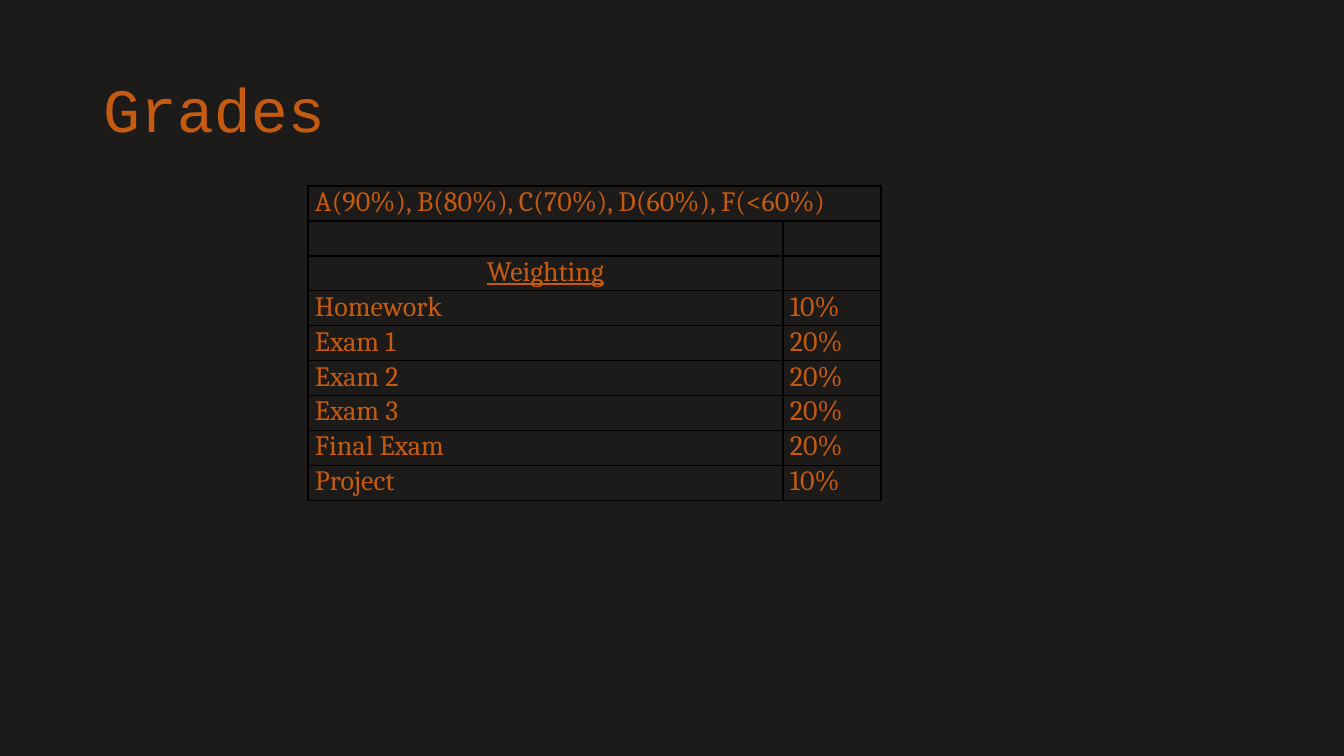
from lxml.etree import SubElement
from pptx import Presentation
from pptx.dml.color import RGBColor
from pptx.enum.text import MSO_ANCHOR, PP_ALIGN
from pptx.oxml.ns import qn
from pptx.util import Pt

EMU_PER_PX = 914400 / 100.8
BACKGROUND = "1C1B1A"
ORANGE = "C55A11"
BORDER = "000000"
ROW_HEIGHT = 35
GRADES = [
    ("A(90%), B(80%), C(70%), D(60%), F(<60%)", ""),
    ("", ""),
    ("Weighting", ""),
    ("Homework", "10%"),
    ("Exam 1", "20%"),
    ("Exam 2", "20%"),
    ("Exam 3", "20%"),
    ("Final Exam", "20%"),
    ("Project", "10%"),
]


def px(length):
    return round(length * EMU_PER_PX)


def color(hex_code):
    return RGBColor.from_string(hex_code)


def write(frame, text, font, size, align=None, underline=None, spacing=None):
    paragraph = frame.paragraphs[0]
    paragraph.alignment = align
    paragraph.line_spacing = spacing
    run = paragraph.add_run()
    run.text = text
    run.font.name = font
    run.font.size = Pt(size)
    run.font.underline = underline
    run.font.color.rgb = color(ORANGE)


def add_borders(cell):
    properties = cell._tc.get_or_add_tcPr()
    for position, side in enumerate(("a:lnL", "a:lnR", "a:lnT", "a:lnB")):
        line = SubElement(properties, qn(side), w=str(Pt(1)))
        fill = SubElement(line, qn("a:solidFill"))
        SubElement(fill, qn("a:srgbClr"), val=BORDER)
        properties.insert(position, line)


def add_heading(slide, left, top, width, height):
    heading = slide.shapes.title
    heading.left, heading.top = px(left), px(top)
    heading.width, heading.height = px(width), px(height)
    heading.text_frame.vertical_anchor = MSO_ANCHOR.MIDDLE
    write(heading.text_frame, "Grades", "Courier New", 44,
          align=PP_ALIGN.LEFT, spacing=0.9)


def add_grades(slide, left, top, column_widths):
    table = slide.shapes.add_table(
        len(GRADES), len(column_widths), px(left), px(top),
        px(sum(column_widths)), px(ROW_HEIGHT * len(GRADES))).table
    table.first_row = False
    table.horz_banding = False
    for column, width in zip(table.columns, column_widths):
        column.width = px(width)
    for row_index, entries in enumerate(GRADES):
        table.rows[row_index].height = px(ROW_HEIGHT)
        for column_index, entry in enumerate(entries):
            cell = table.cell(row_index, column_index)
            cell.margin_left = cell.margin_right = px(7)
            cell.margin_top = cell.margin_bottom = 0
            cell.fill.background()
            add_borders(cell)
            if entry:
                is_header = entry == "Weighting"
                write(cell.text_frame, entry, "Cambria", 20,
                      align=PP_ALIGN.CENTER if is_header else PP_ALIGN.JUSTIFY,
                      underline=is_header)
    table.cell(0, 0).merge(table.cell(0, 1))


def main():
    deck = Presentation()
    deck.slide_width, deck.slide_height = px(1344), px(756)
    slide = deck.slides.add_slide(deck.slide_layouts[5])
    slide.background.fill.solid()
    slide.background.fill.fore_color.rgb = color(BACKGROUND)
    add_grades(slide, 308, 186, (475, 98))
    add_heading(slide, 93, 40, 1159, 146)
    deck.save("out.pptx")


if __name__ == "__main__":
    main()
